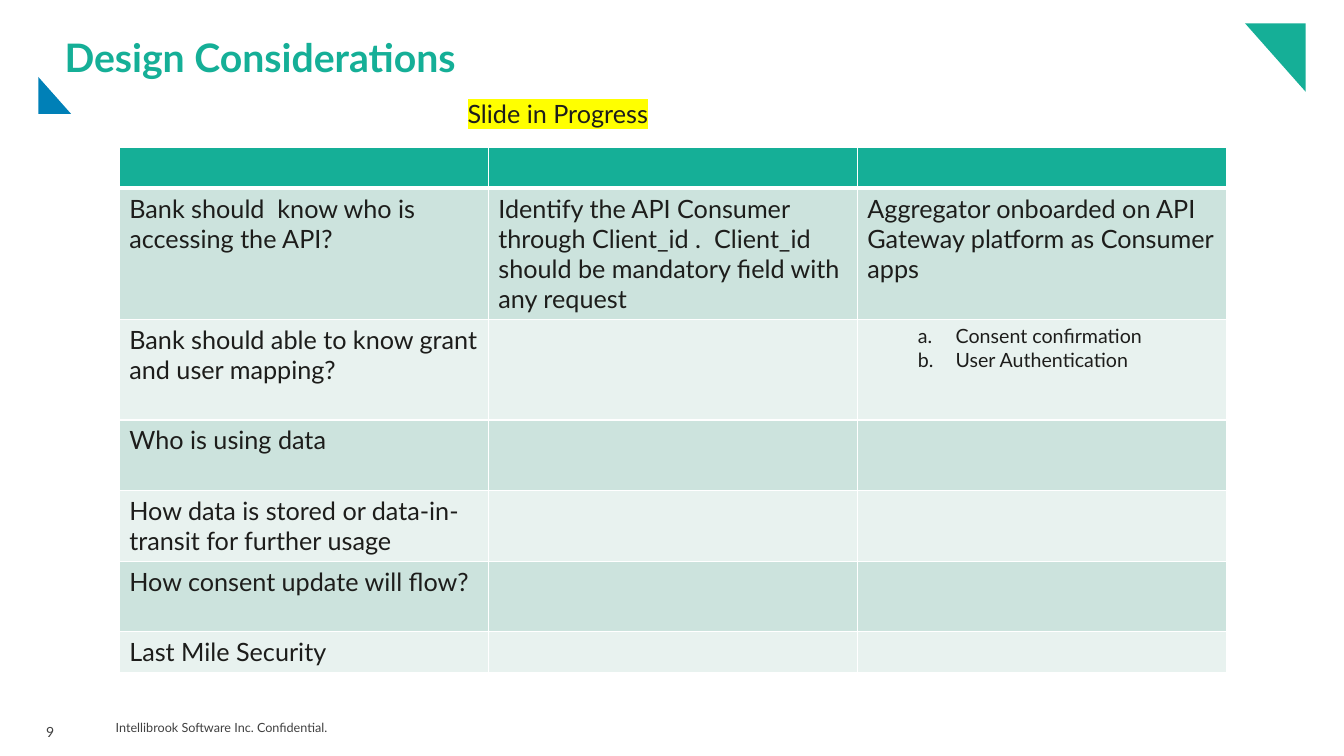
import pptx
import pptx.util
import pptx.dml.color
import pptx.enum.text
from lxml import etree
from pptx.oxml.ns import qn

Pt = pptx.util.Pt
RGB = pptx.dml.color.RGBColor
ANCHOR = pptx.enum.text.MSO_ANCHOR
AUTO = pptx.enum.text.MSO_AUTO_SIZE

TEAL = RGB(0x15, 0xAF, 0x97)
BLUE = RGB(0x00, 0x80, 0xB7)
INK = RGB(0x1D, 0x1D, 0x1B)
GREY = RGB(0x40, 0x40, 0x40)
BANDS = RGB(0xCC, 0xE3, 0xDD), RGB(0xE8, 0xF2, 0xEF)
WHITE = RGB(0xFF, 0xFF, 0xFF)
YELLOW = RGB(0xFF, 0xFF, 0x00)
FONT = "Lato"

TITLE = "Design Considerations"
STATUS = "Slide in Progress"
FOOTER = "Intellibrook Software Inc. Confidential."
NUMBER = "9"
STEPS = ["Consent confirmation", "User Authentication"]
# Height of each row, then the text of its cells; a list is lettered
ROWS = [
    (29, "", "", ""),
    (93.6, "Bank should  know who is accessing the API?",
     "Identify the API Consumer through Client_id .  Client_id should be "
     "mandatory field with any request",
     "Aggregator onboarded on API Gateway platform as Consumer apps"),
    (72, "Bank should able to know grant and user mapping?", "", STEPS),
    (50.4, "Who is using data", "", ""),
    (50.4, "How data is stored or data-in-transit for further usage", "", ""),
    (50.4, "How consent update will flow?", "", ""),
    (28.8, "Last Mile Security", "", ""),
]
TABLE_X, TABLE_Y, COL_W = 85.2, 105.4, 263.6
CORNERS = [
    (TEAL, [(889.3, 16.6), (932.6, 16.6), (932.6, 65.5)]),
    (BLUE, [(50.8, 81.4), (27.4, 81.4), (27.4, 55)]),
]


def write(frame, text, size=18, color=INK, bold=False, mark=None,
          lead=None, after=None, letters=False):
    """Fill a text frame with one paragraph per item of text."""
    items = text if isinstance(text, list) else [text]
    for i, item in enumerate(items):
        para = frame.paragraphs[0] if i == 0 else frame.add_paragraph()
        if lead:
            para.line_spacing = lead
        if after:
            para.space_after = Pt(after)
        if letters:
            para.level = 1
            props = para._p.get_or_add_pPr()
            props.set("marL", str(Pt(63)))
            props.set("indent", str(Pt(-27)))
            etree.SubElement(props, qn("a:buAutoNum"), type="alphaLcPeriod")
        run = para.add_run()
        run.text = item
        font = run.font
        font.size, font.bold, font.name = Pt(size), bold, FONT
        font.color.rgb = color
        if mark:
            glow = etree.Element(qn("a:highlight"))
            etree.SubElement(glow, qn("a:srgbClr"), val=str(mark))
            run._r.rPr.find(qn("a:solidFill")).addnext(glow)


def label(slide, box, text, inset=(7.2, 3.6), anchor=ANCHOR.TOP,
          grow=False, wrap=True, **form):
    frame = slide.shapes.add_textbox(*map(Pt, box)).text_frame
    frame.word_wrap = wrap
    frame.auto_size = AUTO.SHAPE_TO_FIT_TEXT if grow else AUTO.NONE
    frame.vertical_anchor = anchor
    frame.margin_left = frame.margin_right = Pt(inset[0])
    frame.margin_top = frame.margin_bottom = Pt(inset[1])
    write(frame, text, **form)


def edge(cell, widths):
    """Draw white borders, given as widths by side."""
    props = cell._tc.get_or_add_tcPr()
    for i, side in enumerate("LRTB"):
        line = etree.Element(qn("a:ln" + side), w=str(Pt(widths[side])))
        fill = etree.SubElement(line, qn("a:solidFill"))
        etree.SubElement(fill, qn("a:srgbClr"), val=str(WHITE))
        props.insert(i, line)


def corner(slide, color, points):
    start, *rest = [(Pt(x), Pt(y)) for x, y in points]
    path = slide.shapes.build_freeform(*start, scale=1.0)
    path.add_line_segments(rest, close=True)
    shape = path.convert_to_shape()
    shape.shadow.inherit = False
    shape.fill.solid()
    shape.fill.fore_color.rgb = color
    shape.line.fill.background()


def grid(slide):
    cols = len(ROWS[0]) - 1
    total = sum(row[0] for row in ROWS)
    table = slide.shapes.add_table(
        len(ROWS), cols, Pt(TABLE_X), Pt(TABLE_Y),
        Pt(cols * COL_W), Pt(total)).table
    table.first_row = table.horz_banding = False
    for col in table.columns:
        col.width = Pt(COL_W)
    for r, (height, *texts) in enumerate(ROWS):
        table.rows[r].height = Pt(height)
        for c, text in enumerate(texts):
            cell = table.cell(r, c)
            cell.fill.solid()
            cell.fill.fore_color.rgb = BANDS[(r - 1) % 2] if r else TEAL
            edge(cell, {"L": 1, "R": 1, "T": 3 if r == 1 else 1,
                        "B": 3 if r == 0 else 1})
            if text:
                steps = isinstance(text, list)
                write(cell.text_frame, text, size=14 if steps else 18,
                      letters=steps)


def main():
    deck = pptx.Presentation()
    deck.slide_width, deck.slide_height = Pt(960), Pt(540)
    slide = deck.slides.add_slide(deck.slide_layouts[6])
    label(slide, (75.6, 507.6, 196.6, 24.5), FOOTER, inset=(7.2, 7.2),
          anchor=ANCHOR.MIDDLE, size=9, color=GREY)
    label(slide, (25.9, 508.3, 26.6, 22.3), NUMBER, grow=True, wrap=False,
          size=10, color=GREY, lead=Pt(17), after=2)
    for color, points in CORNERS:
        corner(slide, color, points)
    label(slide, (46.1, 27.4, 864.7, 30.2), TITLE, inset=(0, 0),
          anchor=ANCHOR.MIDDLE, grow=True, size=28, color=TEAL,
          bold=True, lead=0.9)
    grid(slide)
    label(slide, (326.9, 67, 280.8, 28.8), STATUS, grow=True, mark=YELLOW)
    deck.save("out.pptx")


if __name__ == "__main__":
    main()
